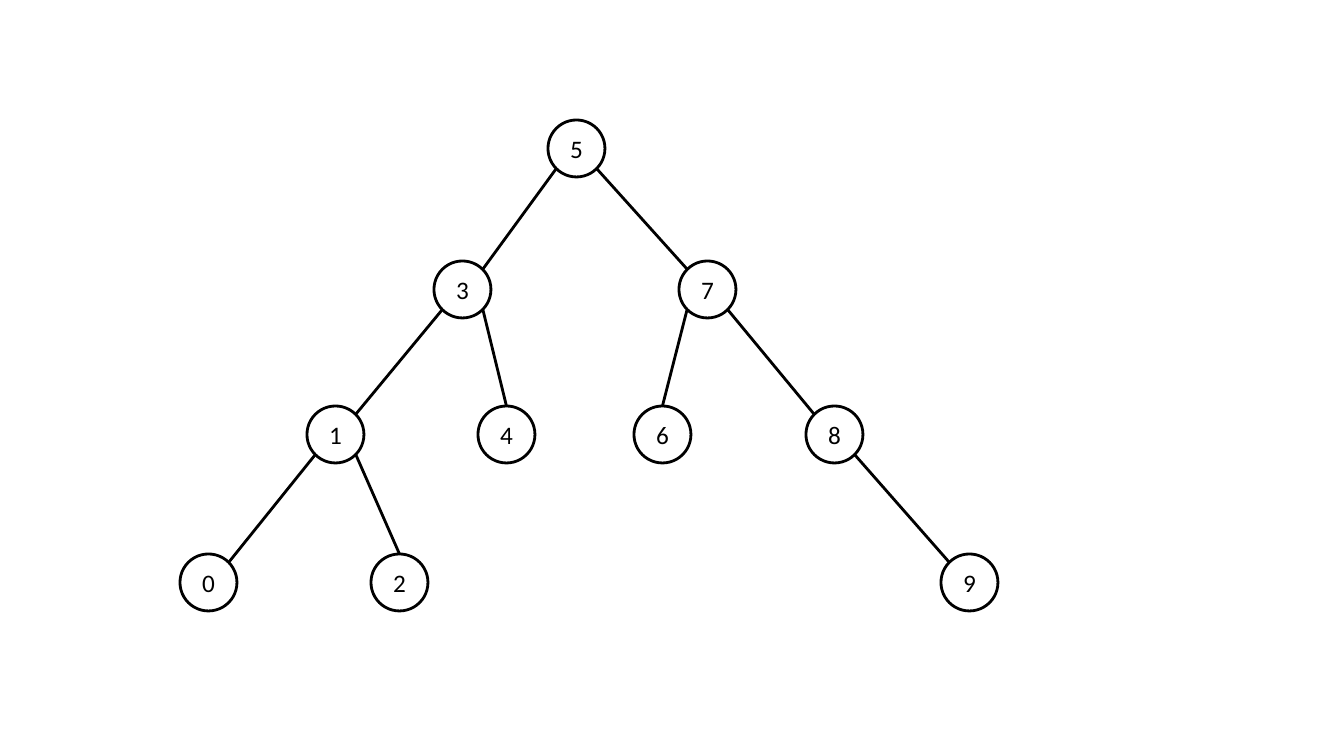
from dataclasses import dataclass

from pptx import Presentation
from pptx import util as u
from pptx.dml import color
from pptx.enum import shapes, text
from pptx.oxml import ns, xmlchemy

PX = u.Inches(1) / 100.8
WIDE, HIGH = 1344, 756
SIZE = 57  # node diameter
NEAR, FAR = 8, 49  # where the diagonals of a node's box cross its circle

TOPS = [120, 261, 406, 554]
# key: (left, level, parent)
NODES = {
    "5": (548, 0, None),
    "3": (434, 1, "5"),
    "7": (679, 1, "5"),
    "1": (307, 2, "3"),
    "4": (478, 2, "3"),
    "6": (634, 2, "7"),
    "8": (806, 2, "7"),
    "0": (180, 3, "1"),
    "2": (371, 3, "1"),
    "9": (941, 3, "8"),
}


def emu(px):
    return u.Emu(round(px * PX))


@dataclass(frozen=True)
class Theme:
    ink: color.RGBColor = color.RGBColor(0, 0, 0)
    font: str = "Calibri"
    size: int = 18
    line: int = 2


class Tree:
    def __init__(self, slide, theme):
        self.theme = theme
        self.group = slide.shapes.add_group_shape().shapes

    def stroke(self, line):
        line.color.rgb = self.theme.ink
        line.width = u.Pt(self.theme.line)

    def node(self, key, left, top):
        node = self.group.add_shape(
            shapes.MSO_SHAPE.OVAL, emu(left), emu(top), emu(SIZE), emu(SIZE))
        node.shadow.inherit = False
        node.fill.background()
        self.stroke(node.line)
        frame = node.text_frame
        frame.vertical_anchor = text.MSO_ANCHOR.MIDDLE
        para = frame.paragraphs[0]
        para.alignment = text.PP_ALIGN.CENTER
        run = para.add_run()
        run.text = key
        run.font.name = self.theme.font
        run.font.size = u.Pt(self.theme.size)
        run.font.color.rgb = self.theme.ink
        return node

    def edge(self, start, end, child=None):
        """Draw a line; a child given is joined at its top."""
        line = self.group.add_connector(
            shapes.MSO_CONNECTOR.STRAIGHT, *map(emu, start + end))
        self.stroke(line.line)
        line._element.spPr.append(xmlchemy.OxmlElement("a:effectLst"))
        if child is not None:
            line.end_connect(child, 0)

    def link(self, key, nodes):
        """Join a node to its parent: at its top if close, else at its corner."""
        left, level, parent = NODES[key]
        base, above, _ = NODES[parent]
        out, back = (NEAR, FAR) if left < base else (FAR, NEAR)
        start = (base + out, TOPS[above] + FAR)
        if abs(left - base) < 1.5 * SIZE:
            self.edge(start, (left + SIZE / 2, TOPS[level]), nodes[key])
        else:
            self.edge(start, (left + back, TOPS[level] + NEAR))


def main():
    deck = Presentation()
    deck.slide_width, deck.slide_height = emu(WIDE), emu(HIGH)
    tree = Tree(deck.slides.add_slide(deck.slide_layouts[6]), Theme())
    nodes = {key: tree.node(key, left, TOPS[level])
             for key, (left, level, _) in NODES.items()}
    for key, (_, _, parent) in NODES.items():
        if parent:
            tree.link(key, nodes)
    deck.save("out.pptx")


if __name__ == "__main__":
    main()
